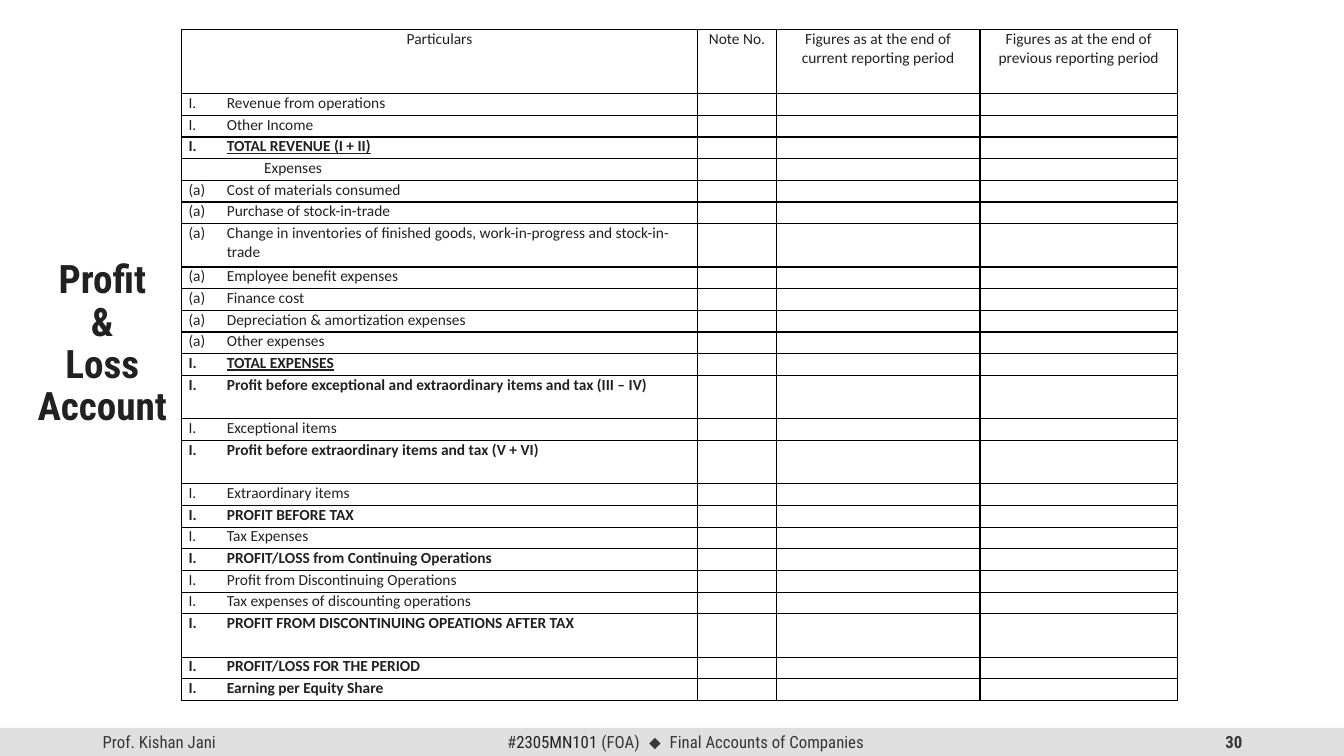
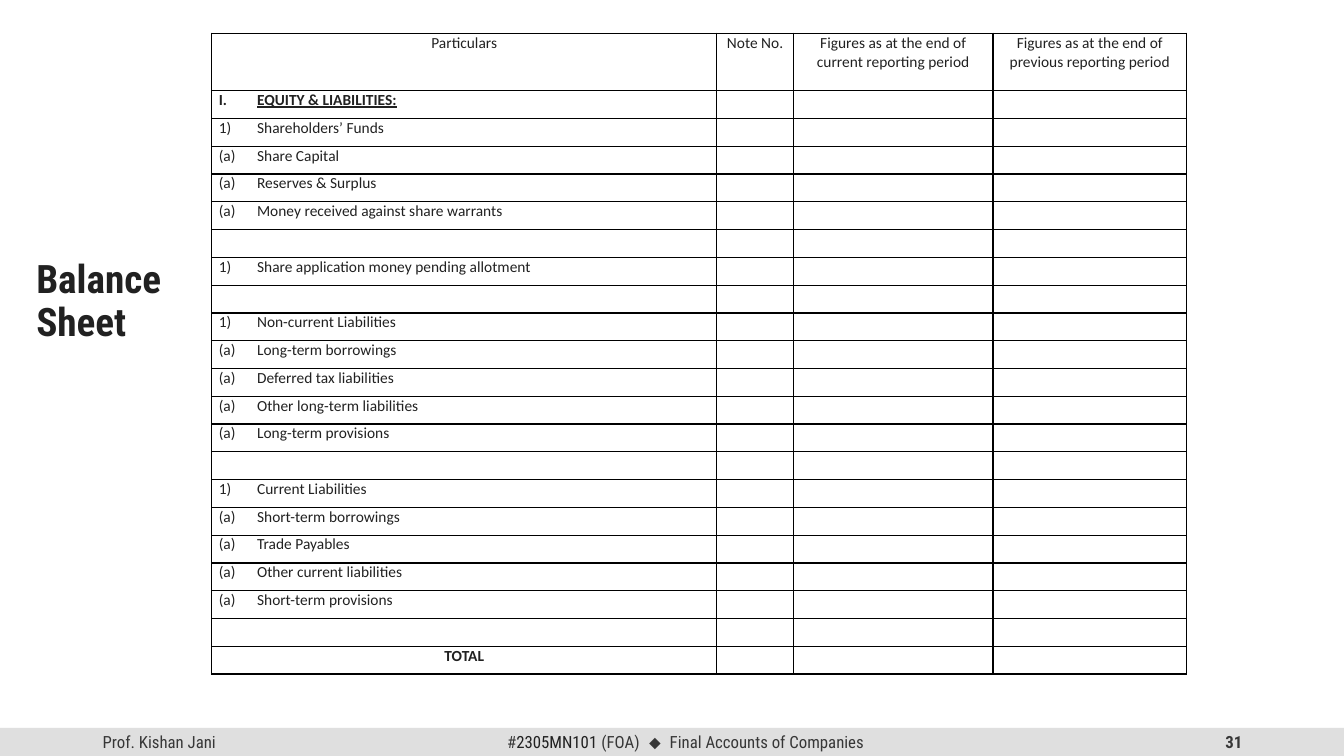
from dataclasses import dataclass

from lxml import etree
from pptx import Presentation
from pptx.dml.color import RGBColor
from pptx.enum.shapes import MSO_SHAPE
from pptx.enum.text import MSO_ANCHOR, MSO_AUTO_SIZE, PP_ALIGN
from pptx.oxml.ns import qn
from pptx.util import Inches, Pt

LEFT, CENTER, RIGHT = PP_ALIGN.LEFT, PP_ALIGN.CENTER, PP_ALIGN.RIGHT
TOP, MIDDLE = MSO_ANCHOR.TOP, MSO_ANCHOR.MIDDLE
NO_AUTOFIT = MSO_AUTO_SIZE.NONE
RECTANGLE = MSO_SHAPE.RECTANGLE

DARK, GRAY, BAND, BORDER = "212121", "373737", "DFDFDF", "000000"
HEADING_FONT, TABLE_FONT, SYMBOL_FONT = "Roboto Condensed", "Calibri", "Arial"
TABLE_SIZE = 11
FOOTER_SIZE = 12
SLIDE_WIDTH = 13.33
FOOTER_TOP, FOOTER_HEIGHT = 7.22, 0.28
TITLE_ONLY_LAYOUT = 5

ROMAN, LETTER, NUMBER = "romanUcPeriod", "alphaLcParenBoth", "arabicParenR"
HEADINGS = (
    "Particulars",
    "Note No.",
    "Figures as at the end of current reporting period",
    "Figures as at the end of previous reporting period",
)


@dataclass(frozen=True)
class Entry:
    text: str = ""
    marker: str = ""
    bold: bool = False
    underline: bool = False
    lines: int = 1
    align: PP_ALIGN = LEFT
    indent: float = 0


@dataclass(frozen=True)
class Statement:
    number: int
    title: tuple[str, ...]
    title_align: PP_ALIGN
    left: float
    top: float
    columns: tuple[float, ...]
    heading_height: float
    body_height: float
    entries: tuple[Entry, ...]


@dataclass(frozen=True)
class FooterRun:
    text: str
    color: str = GRAY
    font: str = HEADING_FONT
    bold: bool = False
    spacing: int = 0


@dataclass(frozen=True)
class FooterBox:
    left: float
    width: float
    align: PP_ALIGN
    runs: tuple[FooterRun, ...]


PROFIT_AND_LOSS = Statement(
    30, ("Profit", "&", "Loss Account"), CENTER,
    1.8, 0.29, (5.12, 0.78, 2.02, 1.96), 0.64, 6.02,
    (
        Entry("Revenue from operations", ROMAN),
        Entry("Other Income", ROMAN),
        Entry("TOTAL REVENUE (I + II)", ROMAN, bold=True, underline=True),
        Entry("Expenses", indent=0.75),
        Entry("Cost of materials consumed", LETTER),
        Entry("Purchase of stock-in-trade", LETTER),
        Entry("Change in inventories of finished goods, work-in-progress and stock-in-trade",
              LETTER, lines=2),
        Entry("Employee benefit expenses", LETTER),
        Entry("Finance cost", LETTER),
        Entry("Depreciation & amortization expenses", LETTER),
        Entry("Other expenses", LETTER),
        Entry("TOTAL EXPENSES", ROMAN, bold=True, underline=True),
        Entry("Profit before exceptional and extraordinary items and tax (III – IV)",
              ROMAN, bold=True, lines=2),
        Entry("Exceptional items", ROMAN),
        Entry("Profit before extraordinary items and tax (V + VI)", ROMAN, bold=True, lines=2),
        Entry("Extraordinary items", ROMAN),
        Entry("PROFIT BEFORE TAX", ROMAN, bold=True),
        Entry("Tax Expenses", ROMAN),
        Entry("PROFIT/LOSS from Continuing Operations", ROMAN, bold=True),
        Entry("Profit from Discontinuing Operations", ROMAN),
        Entry("Tax expenses of discounting operations", ROMAN),
        Entry("PROFIT FROM DISCONTINUING OPEATIONS AFTER TAX", ROMAN, bold=True, lines=2),
        Entry("PROFIT/LOSS FOR THE PERIOD", ROMAN, bold=True),
        Entry("Earning per Equity Share", ROMAN, bold=True),
    ),
)

BALANCE_SHEET = Statement(
    31, ("Balance", "Sheet"), LEFT,
    2.1, 0.33, (5.01, 0.76, 1.98, 1.92), 0.57, 5.79,
    (
        Entry("EQUITY & LIABILITIES:", ROMAN, bold=True, underline=True),
        Entry("Shareholders’ Funds", NUMBER),
        Entry("Share Capital", LETTER),
        Entry("Reserves & Surplus", LETTER),
        Entry("Money received against share warrants", LETTER),
        Entry(),
        Entry("Share application money pending allotment", NUMBER),
        Entry(),
        Entry("Non-current Liabilities", NUMBER),
        Entry("Long-term borrowings", LETTER),
        Entry("Deferred tax liabilities", LETTER),
        Entry("Other long-term liabilities", LETTER),
        Entry("Long-term provisions", LETTER),
        Entry(),
        Entry("Current Liabilities", NUMBER),
        Entry("Short-term borrowings", LETTER),
        Entry("Trade Payables", LETTER),
        Entry("Other current liabilities", LETTER),
        Entry("Short-term provisions", LETTER),
        Entry(),
        Entry("TOTAL", bold=True, align=CENTER),
    ),
)


def rgb(color: str) -> RGBColor:
    return RGBColor.from_string(color)


def style_font(font, name: str, size: float, color: str, bold: bool = False) -> None:
    font.name = name
    font.size = Pt(size)
    font.bold = bold
    font.color.rgb = rgb(color)


def add_title(slide, statement: Statement) -> None:
    title = slide.shapes.title
    title.left, title.top = Inches(0.26), Inches(2.53)
    title.width, title.height = Inches(1.51), Inches(3.43)
    frame = title.text_frame
    frame.text = "\n".join(statement.title)
    frame.word_wrap = True
    frame.auto_size = NO_AUTOFIT
    frame.vertical_anchor = TOP
    for paragraph in frame.paragraphs:
        paragraph.alignment = statement.title_align
        paragraph.line_spacing = 0.9
        style_font(paragraph.font, HEADING_FONT, 28, DARK, True)


def add_footer(slide, number: int) -> None:
    band = slide.shapes.add_shape(
        RECTANGLE, 0, Inches(FOOTER_TOP), Inches(SLIDE_WIDTH), Inches(FOOTER_HEIGHT))
    band.shadow.inherit = False
    band.fill.solid()
    band.fill.fore_color.rgb = rgb(BAND)
    band.line.fill.background()
    boxes = (
        FooterBox(0.92, 3, LEFT, (FooterRun("Prof. Kishan Jani"),)),
        FooterBox(4.18, 5.24, CENTER, (
            FooterRun("#"),
            FooterRun("2305MN101 ", DARK),
            FooterRun("(FOA)"),
            FooterRun(" ⬥", font=SYMBOL_FONT, spacing=350),
            FooterRun(" Final Accounts of Companies"),
        )),
        FooterBox(9.42, 3, RIGHT, (FooterRun(str(number), bold=True),)),
    )
    for box in boxes:
        shape = slide.shapes.add_textbox(
            Inches(box.left), Inches(FOOTER_TOP), Inches(box.width), Inches(FOOTER_HEIGHT))
        frame = shape.text_frame
        frame.word_wrap = True
        frame.vertical_anchor = MIDDLE
        paragraph = frame.paragraphs[0]
        paragraph.alignment = box.align
        for item in box.runs:
            run = paragraph.add_run()
            run.text = item.text
            style_font(run.font, item.font, FOOTER_SIZE, item.color, item.bold)
            if item.spacing:
                run.font._element.set("spc", str(item.spacing))


def add_borders(cell) -> None:
    properties = cell._tc.get_or_add_tcPr()
    for side in ("a:lnL", "a:lnR", "a:lnT", "a:lnB"):
        line = etree.SubElement(properties, qn(side), w=str(Pt(1)))
        fill = etree.SubElement(line, qn("a:solidFill"))
        etree.SubElement(fill, qn("a:srgbClr"), val=BORDER)


def fill_cell(cell, entry: Entry) -> None:
    cell.margin_left = cell.margin_right = Inches(0.07)
    cell.margin_top = cell.margin_bottom = 0
    add_borders(cell)
    cell.fill.background()
    paragraph = cell.text_frame.paragraphs[0]
    paragraph.alignment = entry.align
    style_font(paragraph.font, TABLE_FONT, TABLE_SIZE, DARK, entry.bold)
    paragraph.font.underline = entry.underline
    if not entry.text:
        etree.SubElement(paragraph._p, qn("a:endParaRPr"), sz=str(TABLE_SIZE * 100))
        return
    paragraph.add_run().text = entry.text
    properties = paragraph._p.get_or_add_pPr()
    if entry.marker:
        properties.set("marL", str(Inches(0.38)))
        properties.set("indent", str(Inches(-0.38)))
        bullet = etree.Element(qn("a:buAutoNum"), type=entry.marker)
        properties.find(qn("a:defRPr")).addprevious(bullet)
    elif entry.indent:
        properties.set("marL", str(Inches(entry.indent)))


def add_statement_table(slide, statement: Statement) -> None:
    frame = slide.shapes.add_table(
        len(statement.entries) + 1, len(HEADINGS),
        Inches(statement.left), Inches(statement.top),
        Inches(sum(statement.columns)),
        Inches(statement.heading_height + statement.body_height))
    table = frame.table
    table.first_row = False
    table.horz_banding = False
    for column, width in zip(table.columns, statement.columns):
        column.width = Inches(width)
    table.rows[0].height = Inches(statement.heading_height)
    for index, heading in enumerate(HEADINGS):
        fill_cell(table.cell(0, index), Entry(heading, align=CENTER))
    line_height = statement.body_height / sum(entry.lines for entry in statement.entries)
    for row, entry in enumerate(statement.entries, start=1):
        table.rows[row].height = Inches(line_height * entry.lines)
        fill_cell(table.cell(row, 0), entry)
        for index in range(1, len(HEADINGS)):
            fill_cell(table.cell(row, index), Entry())


def main() -> None:
    presentation = Presentation()
    presentation.slide_width = Inches(SLIDE_WIDTH)
    presentation.slide_height = Inches(7.5)
    for statement in (PROFIT_AND_LOSS, BALANCE_SHEET):
        slide = presentation.slides.add_slide(presentation.slide_layouts[TITLE_ONLY_LAYOUT])
        add_footer(slide, statement.number)
        add_title(slide, statement)
        add_statement_table(slide, statement)
    presentation.save("out.pptx")


if __name__ == "__main__":
    main()
